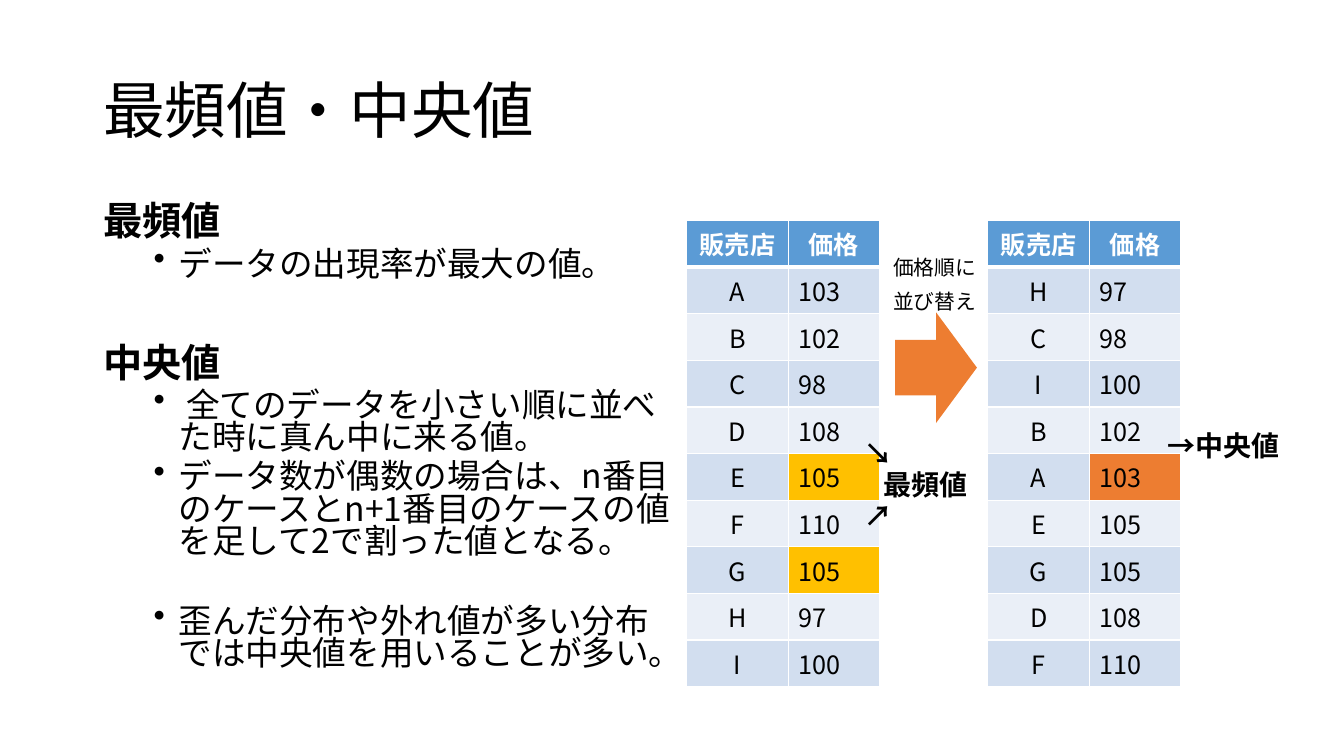
from lxml import etree
from pptx import Presentation
from pptx.dml.color import RGBColor
from pptx.enum.shapes import MSO_SHAPE
from pptx.enum.text import MSO_ANCHOR, PP_ALIGN
from pptx.oxml.ns import qn
from pptx.util import Cm, Pt

RIGHT_ARROW = MSO_SHAPE.RIGHT_ARROW
TOP, MIDDLE = MSO_ANCHOR.TOP, MSO_ANCHOR.MIDDLE
LEFT, CENTER = PP_ALIGN.LEFT, PP_ALIGN.CENTER

FONT = "Noto Sans CJK JP"
BLACK = RGBColor(0x00, 0x00, 0x00)
WHITE = RGBColor(0xFF, 0xFF, 0xFF)
BLUE = RGBColor(0x5B, 0x9B, 0xD5)
ORANGE = RGBColor(0xED, 0x7D, 0x31)
YELLOW = RGBColor(0xFF, 0xC0, 0x00)
BANDS = (RGBColor(0xD2, 0xDE, 0xEF), RGBColor(0xEA, 0xEF, 0xF7))

HEADING = {"size": 28, "bold": True, "line": 0.8}
BULLET = {"size": 24, "line": 0.8, "before": 5, "indent": (1.9, -0.63), "bullet": "•"}
SORT_NOTE = {"size": 14.8, "line": 0.8, "align": CENTER}
MODE_NOTE = {"size": 20, "bold": True, "line": 0.5}

# Each box: left, top, width, height in cm; anchor; paragraphs with their format
TEXT_BOXES = [
    ((2.35, 1.02, 29.21, 3.68), MIDDLE, [("最頻値・中央値", {"size": 44, "line": 0.9})]),
    ((2.35, 5.06, 14.88, 12.09), TOP, [
        ("最頻値", HEADING),
        ("データの出現率が最大の値。", BULLET),
        ("中央値", HEADING | {"before": 46}),
        (" 全てのデータを小さい順に並べた時に真ん中に来る値。", BULLET),
        ("データ数が偶数の場合は、n番目のケースとn+1番目のケースの値を足して2で割った値となる。", BULLET),
        ("歪んだ分布や外れ値が多い分布では中央値を用いることが多い。", BULLET | {"before": 34}),
    ]),
    ((28.4, 10.76, 4.88, 1.04), MIDDLE, [
        ("→中央値", {"size": 20, "bold": True, "line": 0.9, "align": CENTER}),
    ]),
    ((21.11, 6.42, 4.88, 1.65), TOP, [
        ("価格順に", SORT_NOTE),
        ("並び替え", SORT_NOTE | {"before": 10}),
    ]),
    ((21.54, 11.25, 3.61, 2.69), TOP, [
        ("↘", MODE_NOTE),
        ("最頻値", MODE_NOTE | {"before": 10, "indent": (0.48, 0)}),
        ("↗", MODE_NOTE | {"before": 10}),
    ]),
]

HEADER = ("販売店", "価格")
PRICES = {"A": 103, "B": 102, "C": 98, "D": 108, "E": 105,
          "F": 110, "G": 105, "H": 97, "I": 100}
# Each table: left in cm; shops in order; fill of the marked prices
TABLES = [
    (17.3, list(PRICES), {"E": YELLOW, "G": YELLOW}),
    (24.89, sorted(PRICES, key=PRICES.get), {"A": ORANGE}),
]
TABLE_TOP = 5.56
COLUMN_WIDTHS = (2.57, 2.29)
ROW_HEIGHT = 1.03
SORT_ARROW = (22.56, 7.87, 2.06, 2.79)


def write(para, text, look):
    properties = para._p.get_or_add_pPr()
    if "indent" in look:
        margin, first = look["indent"]
        properties.set("marL", str(Cm(margin)))
        properties.set("indent", str(Cm(first)))
    if "bullet" in look:
        etree.SubElement(properties, qn("a:buChar")).set("char", look["bullet"])
    layout = {"alignment": look.get("align", LEFT),
              "line_spacing": look.get("line", 1.0),
              "space_before": Pt(look.get("before", 0))}
    for name, value in layout.items():
        setattr(para, name, value)
    span = para.add_run()
    span.text = text
    span.font.color.rgb = look.get("color", BLACK)
    letters = {"name": FONT, "size": Pt(look["size"]), "bold": look.get("bold", False)}
    for name, value in letters.items():
        setattr(span.font, name, value)
    east_asian = etree.SubElement(span._r.get_or_add_rPr(), qn("a:ea"))
    east_asian.set("typeface", FONT)


def add_text(page, place, anchor, paragraphs):
    frame = page.shapes.add_textbox(*map(Cm, place)).text_frame
    frame.word_wrap = True
    frame.vertical_anchor = anchor
    for index, (text, look) in enumerate(paragraphs):
        para = frame.add_paragraph() if index else frame.paragraphs[0]
        write(para, text, look)


def set_cell(cell, text, look, fill, borders):
    """Fill a cell; borders maps each side to a width in points."""
    write(cell.text_frame.paragraphs[0], text, look)
    properties = cell._tc.get_or_add_tcPr()
    for side, width in borders.items():
        line = etree.SubElement(properties, qn(f"a:ln{side}"), w=str(Pt(width)))
        paint = etree.SubElement(line, qn("a:solidFill"))
        etree.SubElement(paint, qn("a:srgbClr"), val=str(WHITE))
    cell.fill.solid()
    cell.fill.fore_color.rgb = fill


def add_price_table(page, left, shops, marks):
    rows = [HEADER] + [(shop, str(PRICES[shop])) for shop in shops]
    place = (left, TABLE_TOP, sum(COLUMN_WIDTHS), ROW_HEIGHT * len(rows))
    table = page.shapes.add_table(len(rows), len(HEADER), *map(Cm, place)).table
    for column, width in zip(table.columns, COLUMN_WIDTHS):
        column.width = Cm(width)
    for r, row in enumerate(rows):
        table.rows[r].height = Cm(ROW_HEIGHT)
        is_header = r == 0
        borders = {"L": 1, "R": 1, "T": 3 if r == 1 else 1, "B": 3 if is_header else 1}
        for c, text in enumerate(row):
            look = {"size": 18, "bold": is_header,
                    "color": WHITE if is_header else BLACK,
                    "align": CENTER if is_header or c == 0 else LEFT}
            fill = BLUE if is_header else BANDS[(r - 1) % 2]
            if c == 1:
                fill = marks.get(row[0], fill)
            set_cell(table.cell(r, c), text, look, fill, borders)


def main():
    deck = Presentation()
    deck.slide_width, deck.slide_height = Cm(33.87), Cm(19.05)
    page = deck.slides.add_slide(deck.slide_layouts[6])
    for table in TABLES:
        add_price_table(page, *table)
    arrow = page.shapes.add_shape(RIGHT_ARROW, *map(Cm, SORT_ARROW))
    arrow.shadow.inherit = False
    arrow.fill.solid()
    arrow.fill.fore_color.rgb = ORANGE
    arrow.line.fill.background()
    for box in TEXT_BOXES:
        add_text(page, *box)
    deck.save("out.pptx")


if __name__ == "__main__":
    main()
